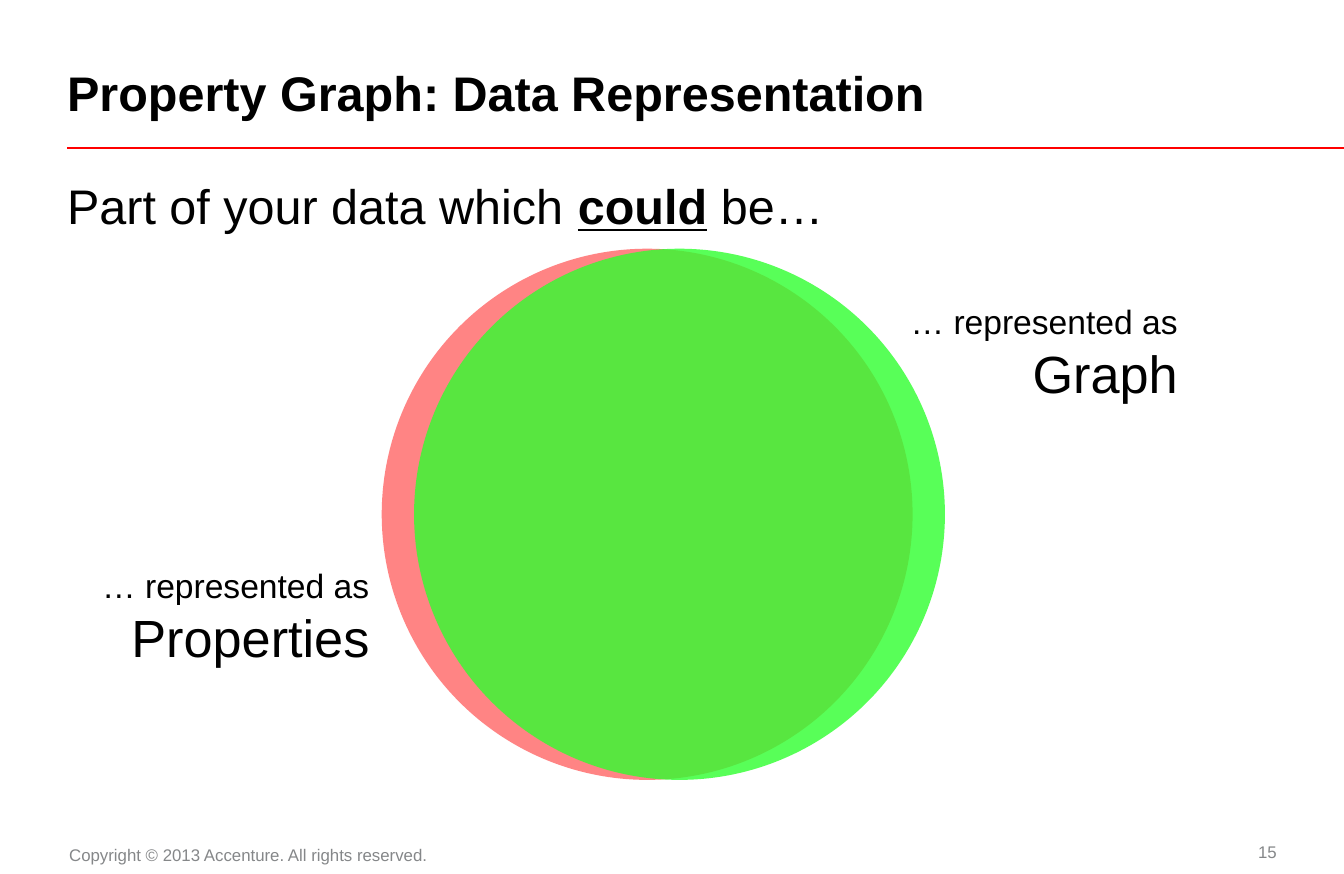
from lxml.etree import SubElement
from pptx import Presentation
from pptx.dml.color import RGBColor
from pptx.enum.shapes import MSO_CONNECTOR as Connector, MSO_SHAPE as Shape
from pptx.enum.text import MSO_ANCHOR as Anchor, PP_ALIGN as Align
from pptx.oxml.ns import qn
from pptx.util import Pt

SLIDE_WIDTH, SLIDE_HEIGHT = 720, 468
MARGIN = 36
BLACK, GREY, RED = "000000", "858789", "FF0000"
CIRCLE_TOP, CIRCLE_SIZE = 133.2, 284.4


def rgb(hex_color):
    return RGBColor.from_string(hex_color)


def format_run(run, size, color=BLACK, bold=False, underline=False):
    run.font.name = "Arial"
    run.font.size = Pt(size)
    run.font.color.rgb = rgb(color)
    run.font.bold = bold
    run.font.underline = underline


def add_text_frame(slide, box, insets=(0, 0, 0, 0), anchor=Anchor.TOP, wrap=True):
    frame = slide.shapes.add_textbox(*map(Pt, box)).text_frame
    frame.word_wrap = wrap
    frame.vertical_anchor = anchor
    (frame.margin_left, frame.margin_top,
     frame.margin_right, frame.margin_bottom) = map(Pt, insets)
    return frame


def add_line_of_text(slide, text, box, size, color=BLACK, bold=False,
                     align=Align.LEFT, **frame_options):
    paragraph = add_text_frame(slide, box, **frame_options).paragraphs[0]
    paragraph.text = text
    paragraph.alignment = align
    format_run(paragraph.runs[0], size, color, bold)
    return paragraph


def add_lead(slide):
    """Add the opening phrase with its emphasised word."""
    paragraph = add_text_frame(slide, (MARGIN, 94.3, 648, 33.8)).paragraphs[0]
    for text, stressed in (("Part of your data which ", False),
                           ("could", True), (" be…", False)):
        run = paragraph.add_run()
        run.text = text
        format_run(run, 26, bold=stressed, underline=stressed)


def add_title_rule(slide):
    rule = slide.shapes.add_connector(
        Connector.STRAIGHT, Pt(MARGIN), Pt(79.2), Pt(SLIDE_WIDTH), Pt(79.2))
    rule.line.color.rgb = rgb(RED)
    rule.line.width = Pt(1)
    SubElement(rule._element.spPr, qn("a:effectLst"))


def add_circle(slide, left, color, opacity=80):
    circle = slide.shapes.add_shape(
        Shape.OVAL, Pt(left), Pt(CIRCLE_TOP), Pt(CIRCLE_SIZE), Pt(CIRCLE_SIZE))
    circle.shadow.inherit = False
    circle.line.fill.background()
    circle.fill.solid()
    circle.fill.fore_color.rgb = rgb(color)
    color_element = circle._element.spPr.find(qn("a:solidFill"))[0]
    SubElement(color_element, qn("a:alpha"), val=str(opacity * 1000))


def add_circle_label(slide, kind, left, top):
    frame = add_text_frame(slide, (left, top, 159.5, 63.4),
                           insets=(7.2, 3.6, 7.2, 3.6), wrap=False)
    frame.text = f"… represented as\n{kind}"
    for paragraph, size in zip(frame.paragraphs, (18, 28)):
        paragraph.alignment = Align.RIGHT
        format_run(paragraph.runs[0], size)


def add_footer(slide):
    add_line_of_text(slide, "Copyright © 2013 Accenture. All rights reserved.",
                     (35.3, 448.6, 202.3, 18), 9, GREY, align=Align.CENTER,
                     insets=(0, 3.6, 7.2, 3.6))
    add_line_of_text(slide, "15", (641.5, 447.8, 42.5, 16.6), 9, GREY,
                     align=Align.RIGHT, anchor=Anchor.MIDDLE)


def main():
    deck = Presentation()
    deck.slide_width, deck.slide_height = Pt(SLIDE_WIDTH), Pt(SLIDE_HEIGHT)
    slide = deck.slides.add_slide(deck.slide_layouts[6])

    add_title_rule(slide)
    add_footer(slide)
    add_lead(slide)
    title = add_line_of_text(slide, "Property Graph: Data Representation",
                             (MARGIN, 11.5, 645.8, 53.3), 26, bold=True,
                             anchor=Anchor.BOTTOM)
    title.line_spacing = Pt(26)

    add_circle(slide, 204.5, "FF6666")
    add_circle(slide, 221.8, "2FFF2F")
    add_circle_label(slide, "Properties", 45.4, 298.8)
    add_circle_label(slide, "Graph", 478.5, 157.7)

    deck.save("out.pptx")


if __name__ == "__main__":
    main()
